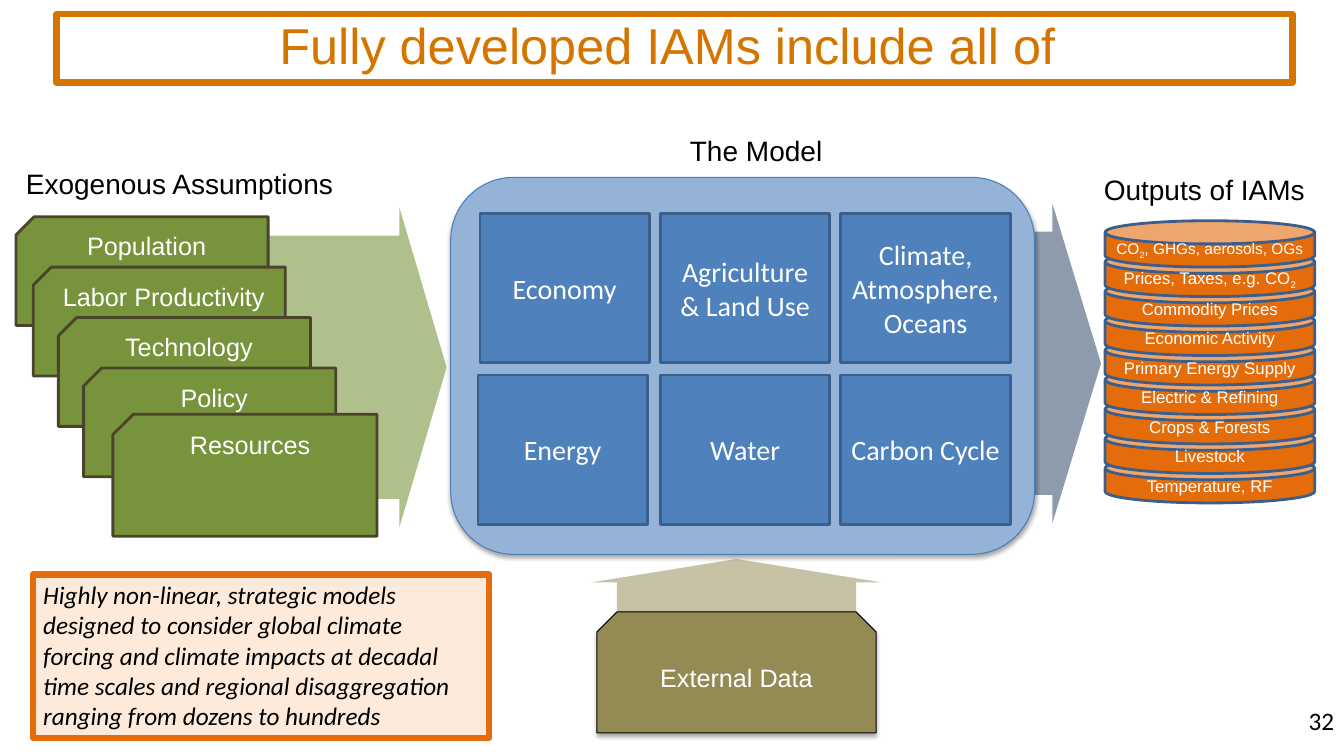
from dataclasses import dataclass
from typing import Optional

from lxml import etree
from pptx import Presentation
from pptx.dml.color import RGBColor
from pptx.enum.shapes import MSO_SHAPE as Preset
from pptx.enum.text import MSO_ANCHOR as Anchor, PP_ALIGN as Align
from pptx.oxml.ns import qn
from pptx.util import Inches, Pt


@dataclass(frozen=True)
class Theme:
    title: str = "D57500"
    black: str = "000000"
    white: str = "FFFFFF"
    assumption: str = "77933C"
    assumption_edge: str = "4A452A"
    model: str = "95B3D7"
    model_edge: str = "4B7EBC"
    tile: str = "4F81BD"
    edge: str = "3A5F8C"
    output: str = "E46C0A"
    output_arrow: str = "254061"
    data: str = "948A54"
    note: str = "FDEADA"
    sans: str = "Arial"
    body: str = "Calibri"
    title_size: int = 36
    heading_size: int = 20
    text_size: int = 18
    output_size: int = 12
    small_size: int = 11


THEME = Theme()


@dataclass(frozen=True)
class Box:
    left: float
    top: float
    width: float
    height: float

    def emu(self) -> tuple:
        return tuple(Inches(v) for v in (self.left, self.top, self.width, self.height))


@dataclass(frozen=True)
class Style:
    preset: Preset
    fill: Optional[str] = None
    line: Optional[str] = None
    line_width: float = 2
    alpha: int = 100
    glow: bool = False  # soft shadow below the shape


@dataclass(frozen=True)
class Type:
    size: int
    color: str = THEME.white
    font: str = THEME.sans
    align: Align = Align.CENTER
    anchor: Anchor = Anchor.MIDDLE
    italic: bool = False
    inset: Optional[float] = None


@dataclass(frozen=True)
class Card:
    text: str
    box: Box


def write(shape, text: str, style: Type) -> None:
    """Write text; parts between bars are subscripts."""
    frame = shape.text_frame
    frame.word_wrap = True
    frame.vertical_anchor = style.anchor
    if style.inset is not None:
        frame.margin_left = frame.margin_right = frame.margin_bottom = 0
        frame.margin_top = Inches(style.inset)
    paragraph = frame.paragraphs[0]
    paragraph.alignment = style.align
    for index, part in enumerate(text.split("|")):
        run = paragraph.add_run()
        run.text = part
        run.font.size = Pt(style.size)
        run.font.name = style.font
        run.font.italic = style.italic
        run.font.color.rgb = RGBColor.from_string(style.color)
        if index % 2:
            run.font._element.set("baseline", "-25000")


def add_alpha(color, percent: int) -> None:
    etree.SubElement(color, qn("a:alpha")).set("val", str(percent * 1000))


def draw(slide, box: Box, style: Style, text: str = "", type_: Optional[Type] = None):
    shape = slide.shapes.add_shape(style.preset, *box.emu())
    shape.shadow.inherit = False
    properties = shape._element.spPr
    if style.fill:
        shape.fill.solid()
        shape.fill.fore_color.rgb = RGBColor.from_string(style.fill)
        if style.alpha < 100:
            add_alpha(properties.find(".//" + qn("a:srgbClr")), style.alpha)
    else:
        shape.fill.background()
    if style.line:
        shape.line.color.rgb = RGBColor.from_string(style.line)
        shape.line.width = Pt(style.line_width)
    else:
        shape.line.fill.background()
    if style.glow:
        shadow = etree.SubElement(properties.find(qn("a:effectLst")), qn("a:outerShdw"),
                                  blurRad=str(Pt(3.1)), dist=str(Pt(1.8)),
                                  dir="5400000", rotWithShape="0")
        add_alpha(etree.SubElement(shadow, qn("a:srgbClr"), val=THEME.black), 35)
    if type_:
        write(shape, text, type_)
    return shape


def draw_arrow(slide, box: Box, color: str, alpha: int, rotation: int = 0) -> None:
    arrow = draw(slide, box, Style(Preset.RIGHT_ARROW, color, alpha=alpha))
    arrow.adjustments[0], arrow.adjustments[1] = 0.824, 0.152
    arrow.rotation = rotation


def draw_label(slide, card: Card, type_: Type) -> None:
    write(slide.shapes.add_textbox(*card.box.emu()), card.text, type_)


ASSUMPTIONS = (
    Card("Population", Box(0.16, 2.15, 2.5, 1.08)),
    Card("Labor Productivity", Box(0.33, 2.65, 2.5, 1.08)),
    Card("Technology", Box(0.58, 3.15, 2.5, 1.08)),
    Card("Policy", Box(0.83, 3.65, 2.5, 1.08)),
    Card("Resources", Box(1.12, 4.11, 2.62, 1.21)),
)
OUTPUTS = ("CO|2|, GHGs, aerosols, OGs", "Prices, Taxes, e.g. CO|2", "Commodity Prices",
           "Economic Activity", "Primary Energy Supply", "Electric & Refining",
           "Crops & Forests", "Livestock", "Temperature, RF")
OUTPUT_TOP, OUTPUT_BOTTOM = 2.19, 4.53
MODEL_ROWS = (
    (2.12, (4.76, 6.55, 8.34), ("Economy", "Agriculture & Land Use", "Climate, Atmosphere, Oceans")),
    (3.72, (4.74, 6.55, 8.34), ("Energy", "Water", "Carbon Cycle")),
)
HEADINGS = (
    Card("Exogenous Assumptions", Box(0.24, 1.65, 3.08, 0.5)),
    Card("The Model", Box(5.96, 1.32, 3.08, 0.5)),
    Card("Outputs of IAMs", Box(10.75, 1.71, 2.39, 0.5)),
)


def main() -> None:
    deck = Presentation()
    deck.slide_width, deck.slide_height = Inches(13.33), Inches(7.5)
    slide = deck.slides.add_slide(deck.slide_layouts[6])

    # Title, headings and page number
    draw(slide, Box(0.56, 0.14, 12.26, 0.68), Style(Preset.RECTANGLE, line=THEME.title, line_width=4.5),
         "Fully developed IAMs include all of ",
         Type(THEME.title_size, THEME.title, anchor=Anchor.TOP, inset=0))
    for heading in HEADINGS:
        draw_label(slide, heading, Type(THEME.heading_size, THEME.black, anchor=Anchor.TOP, inset=0))
    draw_label(slide, Card("32", Box(10.22, 6.95, 3.11, 0.4)),
               Type(THEME.text_size, THEME.black, THEME.body, Align.RIGHT, Anchor.TOP))

    # Exogenous assumptions
    draw_arrow(slide, Box(1.35, 2.06, 3.08, 3.17), THEME.assumption, 58)
    for card in ASSUMPTIONS:
        folder = draw(slide, card.box, Style(Preset.SNIP_1_RECTANGLE, THEME.assumption, THEME.assumption_edge),
                      card.text, Type(THEME.text_size, anchor=Anchor.TOP))
        folder._element.spPr.xfrm.set("flipH", "1")

    # Model with its components
    draw_arrow(slide, Box(4.78, 2.02, 6.14, 3.17), THEME.output_arrow, 52)
    draw(slide, Box(4.47, 1.76, 5.79, 3.74),
         Style(Preset.ROUNDED_RECTANGLE, THEME.model, THEME.model_edge, 0.75, glow=True))
    for top, lefts, components in MODEL_ROWS:
        for left, component in zip(lefts, components):
            draw(slide, Box(left, top, 1.68, 1.48), Style(Preset.RECTANGLE, THEME.tile, THEME.edge),
                 component, Type(THEME.heading_size, font=THEME.body))

    # Outputs, stacked from the bottom up
    step = (OUTPUT_BOTTOM - OUTPUT_TOP) / (len(OUTPUTS) - 1)
    for row, output in reversed(list(enumerate(OUTPUTS))):
        size = THEME.output_size if row else THEME.small_size
        disk = draw(slide, Box(10.96, OUTPUT_TOP + row * step, 2.08, 0.46),
                    Style(Preset.CAN, THEME.output, THEME.edge), output, Type(size))
        disk.adjustments[0] = 0.5

    # External data
    draw_arrow(slide, Box(6.54, 4.87, 1.53, 2.88), THEME.data, 52, rotation=270)
    draw(slide, Box(5.92, 6.07, 2.77, 1.2),
         Style(Preset.SNIP_2_SAME_RECTANGLE, THEME.data, THEME.black, 0.75, glow=True),
         "External Data", Type(THEME.text_size))

    # Note on the nature of the models
    draw(slide, Box(0.33, 5.7, 4.52, 1.62), Style(Preset.RECTANGLE, THEME.note, THEME.output, 4.5),
         "Highly non-linear, strategic models designed to consider global climate forcing and climate "
         "impacts at decadal time scales and regional disaggregation ranging from dozens to hundreds",
         Type(THEME.text_size, THEME.black, THEME.body, Align.LEFT, Anchor.TOP, italic=True))

    deck.save("out.pptx")


if __name__ == "__main__":
    main()
